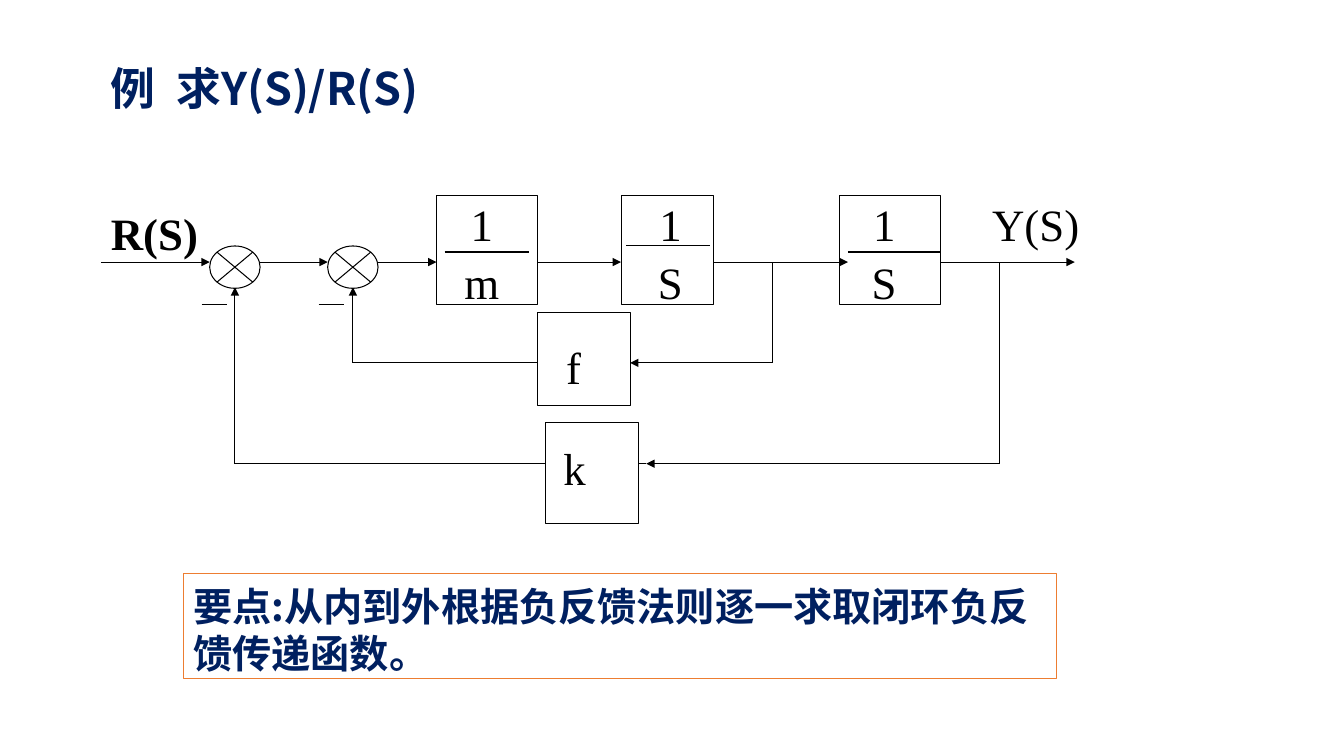
from itertools import pairwise

from lxml import etree
from pptx import Presentation
from pptx.dml.color import RGBColor
from pptx.enum.shapes import MSO_CONNECTOR, MSO_SHAPE
from pptx.enum.text import MSO_ANCHOR, PP_ALIGN
from pptx.oxml.ns import qn
from pptx.util import Emu, Pt

RECTANGLE = MSO_SHAPE.RECTANGLE
SUMMING_JUNCTION = MSO_SHAPE.FLOWCHART_SUMMING_JUNCTION
STRAIGHT = MSO_CONNECTOR.STRAIGHT
TOP = MSO_ANCHOR.TOP
LEFT, CENTER = PP_ALIGN.LEFT, PP_ALIGN.CENTER
BLACK, NAVY, ORANGE, WHITE = "000000", "002060", "ED7D31", "FFFFFF"
SANS, SERIF = "Noto Sans CJK SC", "Times New Roman"

# Content; lengths in px, 100 to the inch
TITLE = "例\t求Y(S)/R(S)"
KEY_POINT = "要点:从内到外根据负反馈法则逐一求取闭环负反馈传递函数。"
SIGNAL_Y = 260
BLOCKS = [  # left, top, width, height
    (433, 194, 100, 108),
    (616, 194, 92, 108),
    (833, 194, 100, 108),
    (533, 310, 92, 92),
    (541, 419, 92, 100),
]
FRACTIONS = [  # denominator, text centre, bar left, bar right, bar y
    ("m", 478, 441, 525, 250),
    ("S", 665, 621, 704, 244),
    ("S", 877, 841, 933, 250),
]
NUMERATOR_TOP, DENOMINATOR_TOP = 195, 253
FEEDBACK_LABELS = [("f", 569, 337), ("k", 570, 437)]  # text, centre, top
SIGNAL_LABELS = [("R(S)", 110, 204, True), ("Y(S)", 984, 195, False)]
JUNCTION_LEFTS = [208, 325]
JUNCTION_TOP, JUNCTION_W, JUNCTION_H = 244, 50, 42
FORWARD_ARROWS = [(100, 208), (258, 325), (375, 433), (533, 616),
                  (708, 841), (933, 1066)]
FEEDBACK_ROUTES = [  # points, ends in an arrowhead
    ([(766, SIGNAL_Y), (766, 360), (625, 360)], True),
    ([(533, 360), (350, 360), (350, 285)], True),
    ([(991, SIGNAL_Y), (991, 460), (641, 460)], True),
    ([(641, 460), (633, 460)], False),
    ([(541, 460), (233, 460), (233, 285)], True),
]
MINUS_LEFTS = [200, 316]
MINUS_Y, MINUS_W = 302, 25


def px(length):
    return Emu(length * 9144)


def color(value):
    return RGBColor.from_string(value)


prs = Presentation()
prs.slide_width, prs.slide_height = px(1333), px(750)
slide = prs.slides.add_slide(prs.slide_layouts[6])


def draw_line(start, end, arrow=False):
    link = slide.shapes.add_connector(STRAIGHT, *map(px, start + end))
    link.line.color.rgb = color(BLACK)
    link.line.width = Pt(0.75)
    props = link._element.spPr
    if arrow:
        etree.SubElement(props.find(qn("a:ln")), qn("a:tailEnd"), type="triangle")
    etree.SubElement(props, qn("a:effectLst"))


def draw_shape(kind, box, outline=BLACK, width=0.75, fill=None):
    shape = slide.shapes.add_shape(kind, *map(px, box))
    shape.shadow.inherit = False
    if fill:
        shape.fill.solid()
        shape.fill.fore_color.rgb = color(fill)
    else:
        shape.fill.background()
    shape.line.color.rgb = color(outline)
    shape.line.width = Pt(width)
    return shape


def write(shape, text, size, font=SERIF, ink=BLACK, bold=False, align=LEFT,
          insets=(0, 0), spacing=None, tab=None):
    frame = shape.text_frame
    frame.word_wrap = True
    frame.margin_left = frame.margin_right = px(insets[0])
    frame.margin_top, frame.margin_bottom = px(insets[1]), 0
    frame.vertical_anchor = TOP
    paragraph = frame.paragraphs[0]
    paragraph.text = text
    paragraph.alignment = align
    if spacing:
        paragraph.line_spacing = Pt(spacing)
    props = paragraph._p.get_or_add_pPr()
    if tab:
        stops = etree.SubElement(props, qn("a:tabLst"))
        etree.SubElement(stops, qn("a:tab"), pos=str(px(tab)), algn="l")
    paragraph.font.size = Pt(size)
    paragraph.font.name = font
    paragraph.font.bold = bold
    paragraph.font.color.rgb = color(ink)
    etree.SubElement(props.find(qn("a:defRPr")), qn("a:ea"), typeface=font)


def add_label(text, left, top, width=120, height=52, **style):
    label = slide.shapes.add_textbox(*map(px, (left, top, width, height)))
    write(label, text, 32, **style)


def add_centered(text, center, top):
    add_label(text, center - 30, top, 60, align=CENTER)


# Title
add_label(TITLE, 100, 55, 1000, 64, font=SANS, ink=NAVY, bold=True,
          insets=(10, 5), spacing=39, tab=65)

# Transfer blocks and summing junctions
for block in BLOCKS:
    draw_shape(RECTANGLE, block)
for left in JUNCTION_LEFTS:
    draw_shape(SUMMING_JUNCTION, (left, JUNCTION_TOP, JUNCTION_W, JUNCTION_H))

# Signal paths
for start, end in FORWARD_ARROWS:
    draw_line((start, SIGNAL_Y), (end, SIGNAL_Y), arrow=True)
for points, arrow in FEEDBACK_ROUTES:
    for start, end in pairwise(points):
        draw_line(start, end, arrow and end == points[-1])
for left in MINUS_LEFTS:
    draw_line((left, MINUS_Y), (left + MINUS_W, MINUS_Y))

# Labels
for denominator, center, bar_left, bar_right, bar_y in FRACTIONS:
    add_centered("1", center, NUMERATOR_TOP)
    draw_line((bar_left, bar_y), (bar_right, bar_y))
    add_centered(denominator, center, DENOMINATOR_TOP)
for text, center, top in FEEDBACK_LABELS:
    add_centered(text, center, top)
for text, left, top, bold in SIGNAL_LABELS:
    add_label(text, left, top, bold=bold)

# Key point
key_point = draw_shape(RECTANGLE, (182, 569, 866, 104), ORANGE, 1, WHITE)
write(key_point, KEY_POINT, 28, SANS, NAVY, True, insets=(10, 8), spacing=34)

prs.save("out.pptx")
